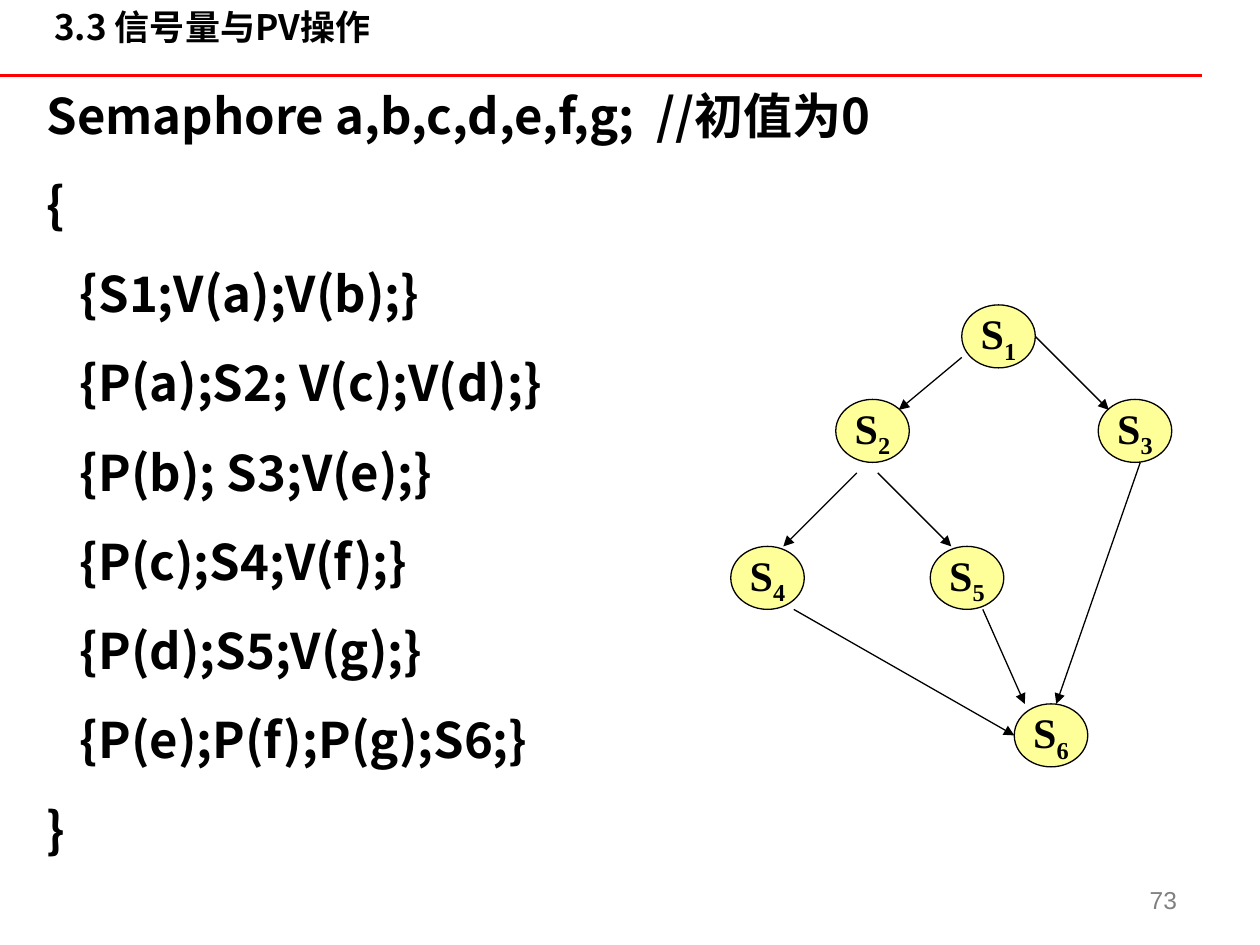
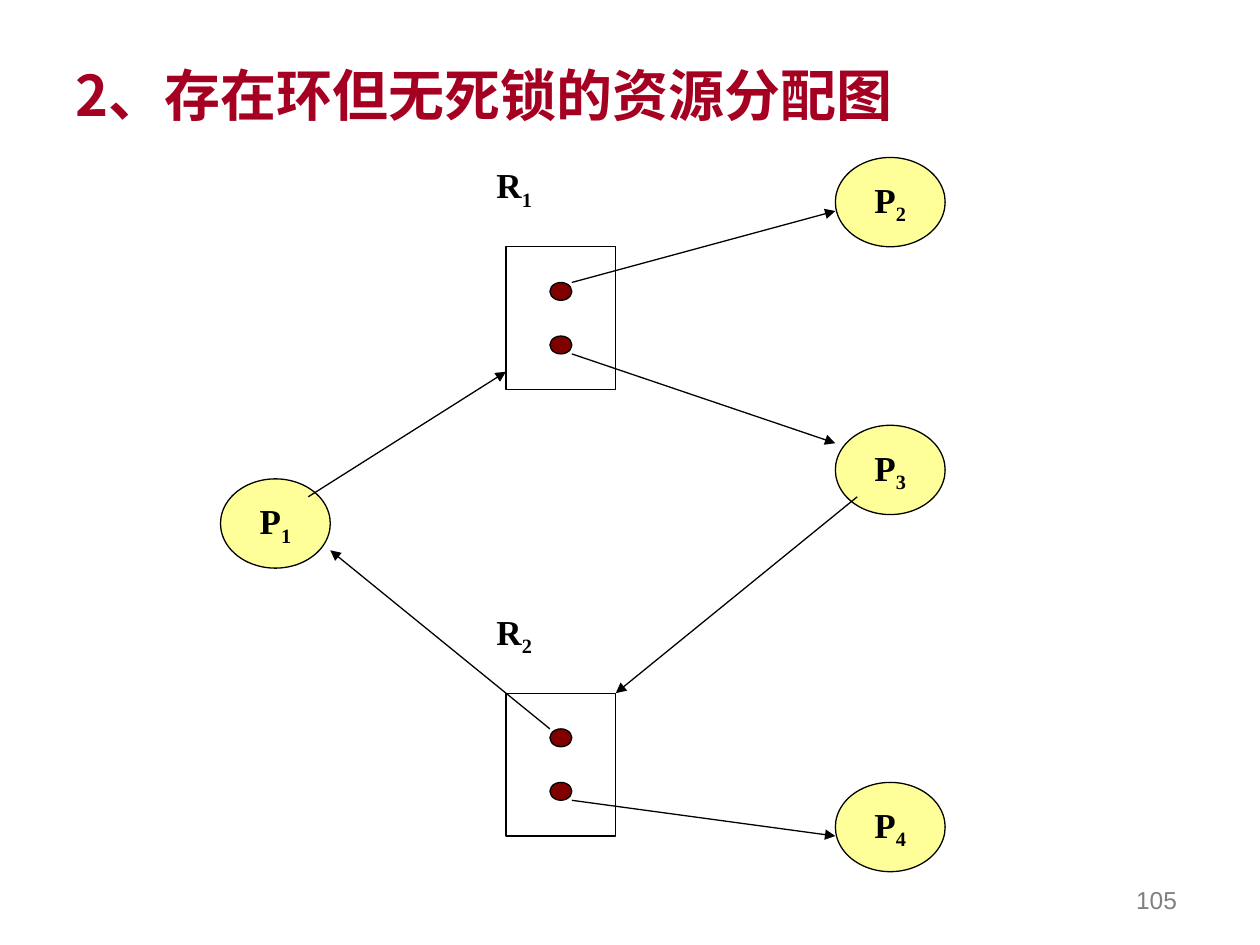
from dataclasses import dataclass
from typing import Any

import pptx
import pptx.dml.color
import pptx.enum.shapes
import pptx.enum.text
import pptx.oxml.ns
import pptx.util
from lxml import etree

RGBColor = pptx.dml.color.RGBColor
Inches, Pt = pptx.util.Inches, pptx.util.Pt
Kind = pptx.enum.shapes.MSO_SHAPE
Align = pptx.enum.text.PP_ALIGN
Anchor = pptx.enum.text.MSO_ANCHOR
qn = pptx.oxml.ns.qn

# Shared colours and text formats
BLACK = RGBColor(0x00, 0x00, 0x00)
WHITE = RGBColor(0xFF, 0xFF, 0xFF)
RED = RGBColor(0xFF, 0x00, 0x00)
CRIMSON = RGBColor(0xA5, 0x00, 0x21)
MAROON = RGBColor(0x80, 0x00, 0x00)
YELLOW = RGBColor(0xFF, 0xFF, 0x99)
GREY = RGBColor(0x80, 0x80, 0x80)

SANS, SERIF = "Noto Sans CJK SC", "Times New Roman"
HEADING = {"name": SANS, "size": Pt(20), "bold": True}
TITLE = {"name": SANS, "size": Pt(32), "bold": True}
CODE = {"name": SANS, "size": Pt(28), "bold": True}
STEP_LABEL = {"name": SERIF, "size": Pt(24), "bold": True}
GRAPH_LABEL = {"name": SERIF, "size": Pt(20), "bold": True}
NUMBER = {"name": "Arial", "size": Pt(14), "bold": False}
FRAME = {"margin_left": Inches(0.1), "margin_right": Inches(0.1),
         "margin_top": Inches(0.05), "margin_bottom": Inches(0.05),
         "auto_size": pptx.enum.text.MSO_AUTO_SIZE.NONE}

CODE_LINES = [
    "Semaphore a,b,c,d,e,f,g;  //初值为0",
    "{",
    "   {S1;V(a);V(b);}",
    "   {P(a);S2; V(c);V(d);}",
    "   {P(b); S3;V(e);}",
    "   {P(c);S4;V(f);}",
    "   {P(d);S5;V(g);}",
    "   {P(e);P(f);P(g);S6;}",
    "}",
]


@dataclass(frozen=True)
class Grid:
    """Origin and cell size in inches."""
    left: float
    top: float
    column: float
    row: float

    def point(self, column: float, row: float) -> tuple[int, int]:
        return (Inches(self.left + column * self.column),
                Inches(self.top + row * self.row))

    def size(self, columns: float, rows: float) -> tuple[int, int]:
        return Inches(columns * self.column), Inches(rows * self.row)


@dataclass(frozen=True)
class Node:
    """A labelled circle, placed by its top left cell."""
    letter: str
    index: str
    column: int
    row: int


@dataclass(frozen=True)
class Arrow:
    start: tuple[int, int]
    end: tuple[int, int]


# Precedence graph
STEP_GRID = Grid(5.8, 2.42, 1 / 12, 1 / 12)
STEP_NODES = [
    Node("S", "1", 22, 0), Node("S", "3", 35, 9), Node("S", "4", 0, 23),
    Node("S", "5", 19, 23), Node("S", "6", 27, 38), Node("S", "2", 10, 9),
]
STEP_ARROWS = [
    Arrow((22, 5), (16, 10)), Arrow((12, 16), (5, 23)),
    Arrow((24, 29), (28, 38)), Arrow((6, 29), (27, 41)),
    Arrow((14, 16), (21, 23)), Arrow((39, 15), (31, 38)),
    Arrow((29, 3), (36, 10)),
]

# Resource allocation graph
GRAPH_GRID = Grid(1.75, 1.25, 4.88 / 28, 4.96 / 70)
PROCESSES = [
    Node("P", "1", 0, 36), Node("P", "2", 28, 0),
    Node("P", "3", 28, 30), Node("P", "4", 28, 70),
]
RESOURCES = [Node("R", "1", 12, 0), Node("R", "2", 12, 50)]
GRAPH_ARROWS = [
    Arrow((15, 64), (5, 44)), Arrow((4, 38), (13, 24)),
    Arrow((16, 14), (28, 6)), Arrow((16, 22), (28, 32)),
    Arrow((16, 72), (28, 76)), Arrow((29, 38), (18, 60)),
]


def apply(target: Any, values: dict[str, Any]) -> None:
    for name, value in values.items():
        setattr(target, name, value)


def add_run(paragraph: Any, text: str, style: dict[str, Any],
            color: RGBColor = BLACK, subscript: bool = False) -> None:
    run = paragraph.add_run()
    run.text = text
    apply(run.font, style)
    run.font.color.rgb = color
    properties = run.font._element
    etree.SubElement(properties, qn("a:ea"), typeface=style["name"])
    if subscript:
        properties.set("baseline", "-25000")


def add_label(paragraph: Any, node: Node, style: dict[str, Any]) -> None:
    add_run(paragraph, node.letter, style)
    add_run(paragraph, node.index, style, subscript=True)


def place(shape: Any, left: float, top: float, width: float,
          height: float) -> None:
    apply(shape, {"left": Inches(left), "top": Inches(top),
                  "width": Inches(width), "height": Inches(height)})


def add_outlined(shapes: Any, kind: Any, grid: Grid, cell: tuple[int, int],
                 span: tuple[int, int], fill: RGBColor | None = None) -> Any:
    shape = shapes.add_shape(kind, *grid.point(*cell), *grid.size(*span))
    shape.shadow.inherit = False
    if fill is None:
        shape.fill.background()
    else:
        shape.fill.solid()
        shape.fill.fore_color.rgb = fill
    shape.line.color.rgb = BLACK
    shape.line.width = Pt(0.75)
    return shape


def add_node(shapes: Any, grid: Grid, node: Node, span: tuple[int, int],
             style: dict[str, Any]) -> None:
    shape = add_outlined(shapes, Kind.OVAL, grid, (node.column, node.row),
                         span, YELLOW)
    apply(shape.text_frame, FRAME | {"word_wrap": False,
                                     "vertical_anchor": Anchor.MIDDLE})
    paragraph = shape.text_frame.paragraphs[0]
    paragraph.alignment = Align.CENTER
    add_label(paragraph, node, style)


def add_line(shapes: Any, start: tuple[int, int], end: tuple[int, int],
             color: RGBColor = BLACK, width: float = 0.75) -> Any:
    line = shapes.add_connector(pptx.enum.shapes.MSO_CONNECTOR.STRAIGHT,
                                *start, *end)
    line.line.color.rgb = color
    line.line.width = Pt(width)
    etree.SubElement(line._element.spPr, qn("a:effectLst"))
    return line


def add_arrows(shapes: Any, grid: Grid, arrows: list[Arrow]) -> None:
    for arrow in arrows:
        line = add_line(shapes, grid.point(*arrow.start),
                        grid.point(*arrow.end))
        etree.SubElement(line.line._get_or_add_ln(), qn("a:tailEnd"),
                         type="triangle")


def set_title(slide: Any, text: str, style: dict[str, Any], color: RGBColor,
              line_height: float) -> Any:
    title = slide.shapes.title
    apply(title.text_frame, FRAME | {"word_wrap": True,
                                     "vertical_anchor": Anchor.TOP})
    paragraph = title.text_frame.paragraphs[0]
    apply(paragraph, {"alignment": Align.LEFT, "space_before": Pt(0),
                      "line_spacing": Pt(line_height)})
    add_run(paragraph, text, style, color)
    return title


def add_number(slide: Any, number: str) -> None:
    box = slide.shapes.add_textbox(Inches(7.36), Inches(6.81), Inches(2.08),
                                   Inches(0.5))
    apply(box.text_frame, FRAME | {"word_wrap": True,
                                   "vertical_anchor": Anchor.BOTTOM})
    paragraph = box.text_frame.paragraphs[0]
    paragraph.alignment = Align.RIGHT
    add_run(paragraph, number, NUMBER, GREY)


def build_semaphore_slide(presentation: Any) -> None:
    slide = presentation.slides.add_slide(presentation.slide_layouts[1])

    # Section heading and rule
    heading = set_title(slide, "3.3 信号量与PV操作", HEADING, BLACK, 24)
    place(heading, 0.34, 0, 5.78, 0.34)
    heading.fill.solid()
    heading.fill.fore_color.rgb = WHITE
    apply(heading.text_frame, {"margin_left": Inches(0.09),
                               "margin_top": Inches(0.04),
                               "margin_bottom": Inches(0)})
    rule_top = Inches(0.6)
    add_line(slide.shapes, (0, rule_top), (Inches(9.54), rule_top), RED, 1.5)

    # Program
    body = slide.placeholders[1]
    place(body, 0.27, 0.62, 9.21, 6.25)
    apply(body.text_frame, FRAME | {"word_wrap": True,
                                    "vertical_anchor": Anchor.TOP})
    for index, text in enumerate(CODE_LINES):
        paragraph = (body.text_frame.add_paragraph() if index
                     else body.text_frame.paragraphs[0])
        properties = paragraph._p.get_or_add_pPr()
        apply_indent = {"marL": "0", "indent": "0"}
        for name, value in apply_indent.items():
            properties.set(name, value)
        etree.SubElement(properties, qn("a:buNone"))
        apply(paragraph, {"line_spacing": Pt(34),
                          "space_before": Pt(17 if index else 0)})
        add_run(paragraph, text, CODE)

    # Precedence graph
    for node in STEP_NODES:
        add_node(slide.shapes, STEP_GRID, node, (7, 6), STEP_LABEL)
    add_arrows(slide.shapes, STEP_GRID, STEP_ARROWS)
    add_number(slide, "73")


def build_allocation_slide(presentation: Any) -> None:
    slide = presentation.slides.add_slide(presentation.slide_layouts[5])
    title = set_title(slide, "2、存在环但无死锁的资源分配图", TITLE, CRIMSON, 39)
    place(title, 0.5, 0.42, 7.92, 0.64)

    shapes = slide.shapes.add_group_shape().shapes
    # Resources: a name, a box below it and two instances in the box
    for resource in RESOURCES:
        label = shapes.add_textbox(
            *GRAPH_GRID.point(resource.column, resource.row),
            Inches(1.05), Inches(0.48))
        apply(label.text_frame, FRAME | {"word_wrap": True})
        add_label(label.text_frame.paragraphs[0], resource, GRAPH_LABEL)
        add_outlined(shapes, Kind.RECTANGLE, GRAPH_GRID,
                     (resource.column + 1, resource.row + 10), (5, 16))
        for offset in (14, 20):
            add_outlined(shapes, Kind.OVAL, GRAPH_GRID,
                         (resource.column + 3, resource.row + offset),
                         (1, 2), MAROON)

    # Processes, requests and allocations
    for process in PROCESSES:
        add_node(shapes, GRAPH_GRID, process, (5, 10), GRAPH_LABEL)
    add_arrows(shapes, GRAPH_GRID, GRAPH_ARROWS)
    add_number(slide, "105")


def main() -> None:
    presentation = pptx.Presentation()
    presentation.slide_width = Inches(10)
    presentation.slide_height = Inches(7.5)
    build_semaphore_slide(presentation)
    build_allocation_slide(presentation)
    presentation.save("out.pptx")


if __name__ == "__main__":
    main()
